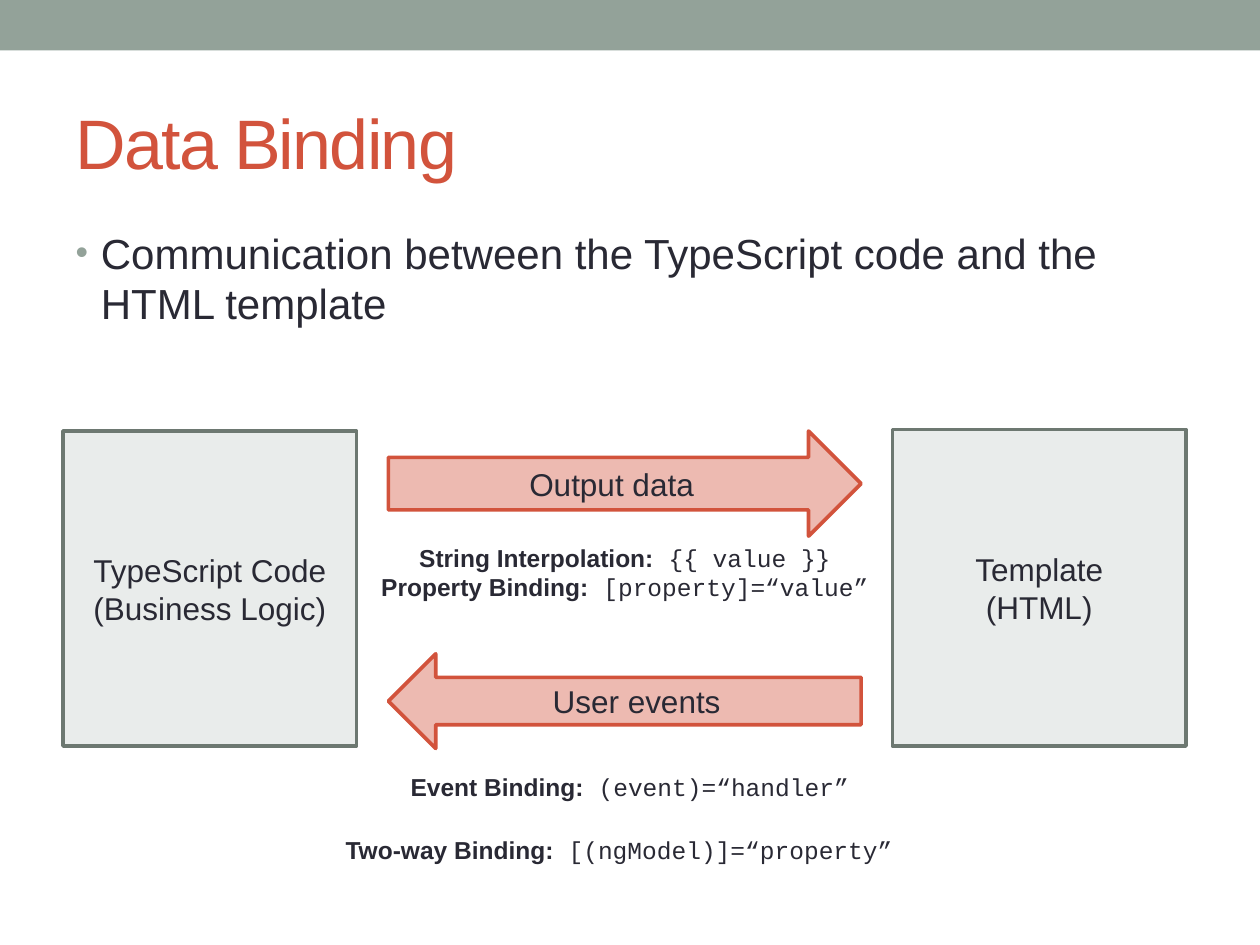
from dataclasses import dataclass

from lxml.etree import SubElement
from pptx import Presentation
from pptx.dml.color import RGBColor
from pptx.enum.shapes import MSO_SHAPE
from pptx.enum.text import MSO_ANCHOR, MSO_AUTO_SIZE, PP_ALIGN
from pptx.oxml.ns import qn
from pptx.util import Cm, Pt


@dataclass(frozen=True)
class Theme:
    accent: str = "93A299"
    red: str = "D2533C"
    ink: str = "292934"
    box_fill: str = "E9ECEB"
    box_line: str = "6D7871"
    arrow_fill: str = "EDBAB1"
    font: str = "Arial"
    code_font: str = "Courier New"
    title_size: float = 40
    body_size: float = 24
    label_size: float = 18
    syntax_size: float = 14
    line_width: float = 2.08


@dataclass(frozen=True)
class Frame:
    left: float
    top: float
    width: float
    height: float

    def lengths(self) -> tuple:
        return Cm(self.left), Cm(self.top), Cm(self.width), Cm(self.height)


@dataclass(frozen=True)
class Block:
    kind: MSO_SHAPE
    frame: Frame
    fill: str
    line: str
    text: str


@dataclass(frozen=True)
class SyntaxNote:
    frame: Frame
    rows: tuple


THEME = Theme()

BLOCKS = (
    Block(MSO_SHAPE.RECTANGLE, Frame(1.27, 8.69, 5.92, 6.35), THEME.box_fill,
          THEME.box_line, "TypeScript Code\n(Business Logic)"),
    Block(MSO_SHAPE.RECTANGLE, Frame(17.99, 8.66, 5.92, 6.38), THEME.box_fill,
          THEME.box_line, "Template\n(HTML)"),
    Block(MSO_SHAPE.RIGHT_ARROW, Frame(7.83, 8.69, 9.53, 2.12), THEME.arrow_fill,
          THEME.red, "Output data"),
    Block(MSO_SHAPE.LEFT_ARROW, Frame(7.83, 13.18, 9.53, 1.91), THEME.arrow_fill,
          THEME.red, "User events"),
)

NOTES = (
    SyntaxNote(Frame(7.2, 10.82, 10.8, 1.45), (
        ("String Interpolation:", " {{ value }}"),
        ("Property Binding:", " [property]=“value”"),
    )),
    SyntaxNote(Frame(7.62, 15.44, 10.16, 0.86), (
        ("Event Binding:", " (event)=“handler”"),
    )),
    SyntaxNote(Frame(6.56, 16.71, 11.85, 0.86), (
        ("Two-way Binding:", " [(ngModel)]=“property”"),
    )),
)


def color(value: str) -> RGBColor:
    return RGBColor.from_string(value)


def style_run(run, size: float, ink: str = THEME.ink, font: str = THEME.font,
              bold: bool = False) -> None:
    run.font.size = Pt(size)
    run.font.name = font
    run.font.bold = bold
    run.font.color.rgb = color(ink)


def fill_placeholder(shape, frame: Frame, text: str, size: float, ink: str):
    shape.left, shape.top, shape.width, shape.height = frame.lengths()
    shape.text_frame.text = text
    paragraph = shape.text_frame.paragraphs[0]
    paragraph.alignment = PP_ALIGN.LEFT
    style_run(paragraph.runs[0], size, ink)
    return paragraph


def add_bullet(paragraph) -> None:
    properties = paragraph._p.get_or_add_pPr()
    properties.set("marL", str(Cm(0.51)))
    properties.set("indent", str(-Cm(0.51)))
    bullet_color = SubElement(properties, qn("a:buClr"))
    SubElement(bullet_color, qn("a:srgbClr")).set("val", THEME.accent)
    SubElement(properties, qn("a:buSzPct")).set("val", "85000")
    SubElement(properties, qn("a:buFont")).set("typeface", THEME.font)
    SubElement(properties, qn("a:buChar")).set("char", "•")


def add_filled_shape(slide, kind: MSO_SHAPE, frame: Frame, fill: str):
    shape = slide.shapes.add_shape(kind, *frame.lengths())
    shape.shadow.inherit = False
    shape.fill.solid()
    shape.fill.fore_color.rgb = color(fill)
    shape.line.fill.background()
    return shape


def add_block(slide, block: Block) -> None:
    shape = add_filled_shape(slide, block.kind, block.frame, block.fill)
    shape.line.color.rgb = color(block.line)
    shape.line.width = Pt(THEME.line_width)
    shape.text_frame.text = block.text
    shape.text_frame.vertical_anchor = MSO_ANCHOR.MIDDLE
    for paragraph in shape.text_frame.paragraphs:
        paragraph.alignment = PP_ALIGN.CENTER
        style_run(paragraph.runs[0], THEME.label_size)


def add_note(slide, note: SyntaxNote) -> None:
    text_frame = slide.shapes.add_textbox(*note.frame.lengths()).text_frame
    text_frame.word_wrap = True
    text_frame.auto_size = MSO_AUTO_SIZE.SHAPE_TO_FIT_TEXT
    for index, (name, syntax) in enumerate(note.rows):
        paragraph = text_frame.add_paragraph() if index else text_frame.paragraphs[0]
        paragraph.alignment = PP_ALIGN.CENTER
        paragraph.text = name
        style_run(paragraph.runs[0], THEME.syntax_size, bold=True)
        code = paragraph.add_run()
        code.text = syntax
        style_run(code, THEME.syntax_size, font=THEME.code_font)


def build() -> None:
    presentation = Presentation()
    presentation.slide_width = Cm(25.4)
    presentation.slide_height = Cm(19.05)
    slide = presentation.slides.add_slide(presentation.slide_layouts[1])

    add_filled_shape(slide, MSO_SHAPE.RECTANGLE, Frame(0, 0, 25.4, 1.02), THEME.accent)

    title = fill_placeholder(slide.shapes.title, Frame(1.27, 1.47, 22.86, 2.75),
                             "Data Binding", THEME.title_size, THEME.red)
    title.runs[0]._r.get_or_add_rPr().set("spc", "-100")
    slide.shapes.title.text_frame.vertical_anchor = MSO_ANCHOR.MIDDLE

    body = fill_placeholder(
        slide.placeholders[1], Frame(1.27, 4.45, 22.86, 13.54),
        "Communication between the TypeScript code and the HTML template",
        THEME.body_size, THEME.ink)
    add_bullet(body)

    for block in BLOCKS:
        add_block(slide, block)
    for note in NOTES:
        add_note(slide, note)

    presentation.save("out.pptx")


build()
